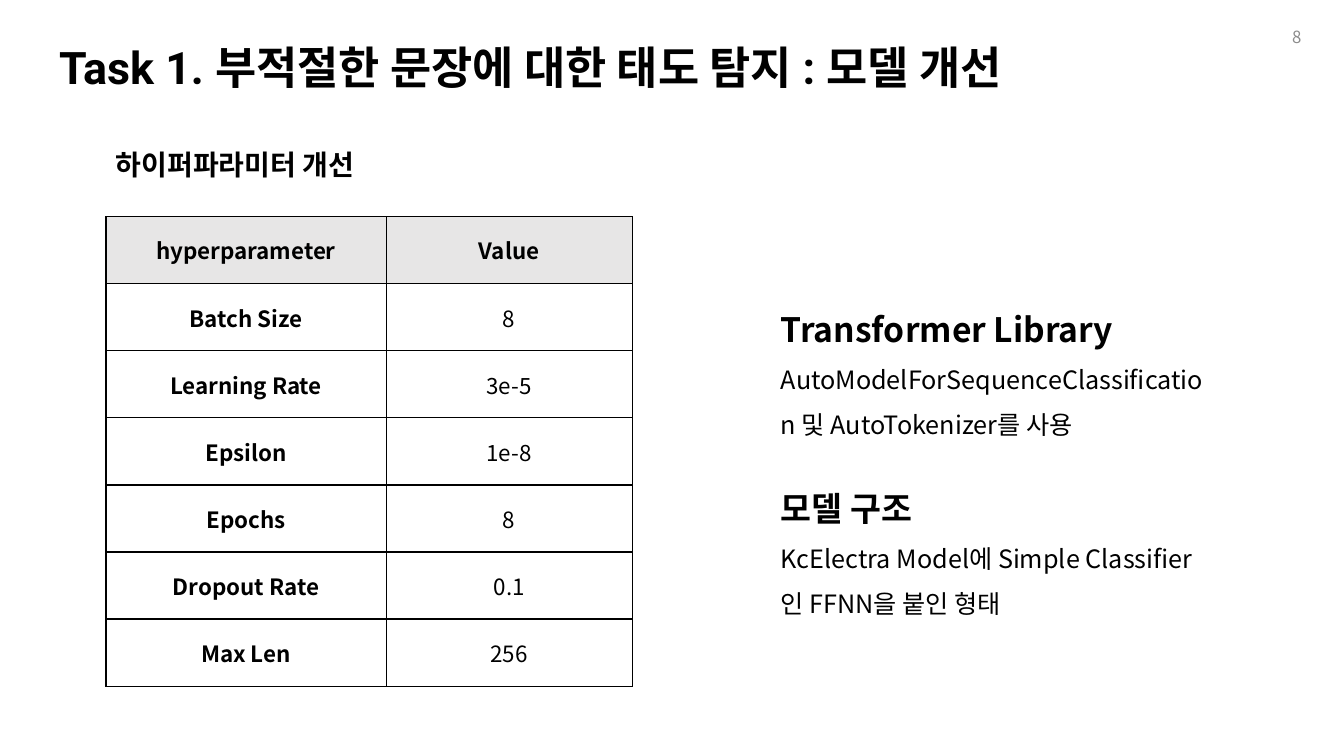
from lxml import etree
from pptx import Presentation
from pptx.dml.color import RGBColor
from pptx.enum.text import MSO_ANCHOR, PP_ALIGN
from pptx.oxml.ns import qn
from pptx.util import Cm, Pt

LEFT, CENTER, RIGHT = PP_ALIGN.LEFT, PP_ALIGN.CENTER, PP_ALIGN.RIGHT
TOP, MIDDLE = MSO_ANCHOR.TOP, MSO_ANCHOR.MIDDLE
NOTO, ROBOTO = "Noto Sans CJK KR", "Roboto"
BLACK, GREY, HEAD = "000000", "8C8C8C", "E7E6E6"

ROWS = [
    ("hyperparameter", "Value"),
    ("Batch Size", "8"),
    ("Learning Rate", "3e-5"),
    ("Epsilon", "1e-8"),
    ("Epochs", "8"),
    ("Dropout Rate", "0.1"),
    ("Max Len", "256"),
]
NOTES = [
    (7.14, "Transformer Library",
     "AutoModelForSequenceClassification 및 AutoTokenizer를 사용"),
    (11.66, "모델 구조",
     "KcElectra Model에 Simple Classifier인 FFNN을 붙인 형태"),
]


def paint(target, color):
    target.rgb = RGBColor.from_string(color)


def style(para, size, bold=False, face=NOTO, color=BLACK, align=LEFT, space=None):
    para.alignment = align
    para.line_spacing = space
    for run in para.runs:
        font = run.font
        font.size, font.bold, font.name = Pt(size), bold, face
        paint(font.color, color)
        east = etree.Element(qn("a:ea"), typeface=NOTO)
        font._element.find(qn("a:latin")).addnext(east)


def add_box(slide, left, top, width, height, text, anchor=MIDDLE):
    box = slide.shapes.add_textbox(Cm(left), Cm(top), Cm(width), Cm(height))
    frame = box.text_frame
    frame.word_wrap = True
    frame.vertical_anchor = anchor
    frame.text = text
    return frame.paragraphs


def add_edges(cell):
    props = cell._tc.get_or_add_tcPr()
    for spot, side in enumerate(("lnL", "lnR", "lnT", "lnB")):
        line = etree.Element(qn("a:" + side), w=str(Pt(1)))
        fill = etree.SubElement(line, qn("a:solidFill"))
        etree.SubElement(fill, qn("a:srgbClr"), val=BLACK)
        props.insert(spot, line)


def add_grid(slide):
    widths = (7.06, 6.2)
    high = 1.69
    frame = slide.shapes.add_table(
        len(ROWS), len(widths), Cm(2.67), Cm(5.46),
        Cm(sum(widths)), Cm(high * len(ROWS)))
    table = frame.table
    for col, width in zip(table.columns, widths):
        col.width = Cm(width)
    for r, texts in enumerate(ROWS):
        table.rows[r].height = Cm(high)
        for c, text in enumerate(texts):
            cell = table.cell(r, c)
            cell.vertical_anchor = MIDDLE
            cell.text_frame.text = text
            style(cell.text_frame.paragraphs[0], 16, r == 0 or c == 0, align=CENTER)
            if r == 0:
                cell.fill.solid()
                paint(cell.fill.fore_color, HEAD)
            else:
                cell.fill.background()
            add_edges(cell)


def add_note(slide, top, head, body):
    first, second = add_box(slide, 19.43, top, 11.18, 3.96, head + "\n" + body, TOP)
    style(first, 24, True, space=1.5)
    style(second, 18, space=1.5)


def add_title(slide, left, top, width, text, size):
    para = add_box(slide, left, top, width, 1.65, text)[0]
    style(para, size, True, ROBOTO, space=0.9)


def main():
    deck = Presentation()
    deck.slide_width, deck.slide_height = Cm(33.87), Cm(19.05)
    slide = deck.slides.add_slide(deck.slide_layouts[6])
    add_title(slide, 1.24, 0.94, 29.21,
              "Task 1. 부적절한 문장에 대한 태도 탐지 : 모델 개선", 32)
    add_grid(slide)
    add_title(slide, 2.67, 3.38, 8.64, "하이퍼파라미터 개선", 20)
    for note in NOTES:
        add_note(slide, *note)
    page = add_box(slide, 25.43, 0.43, 7.62, 1.02, "8")[0]
    style(page, 12, color=GREY, align=RIGHT)
    deck.save("out.pptx")


if __name__ == "__main__":
    main()
